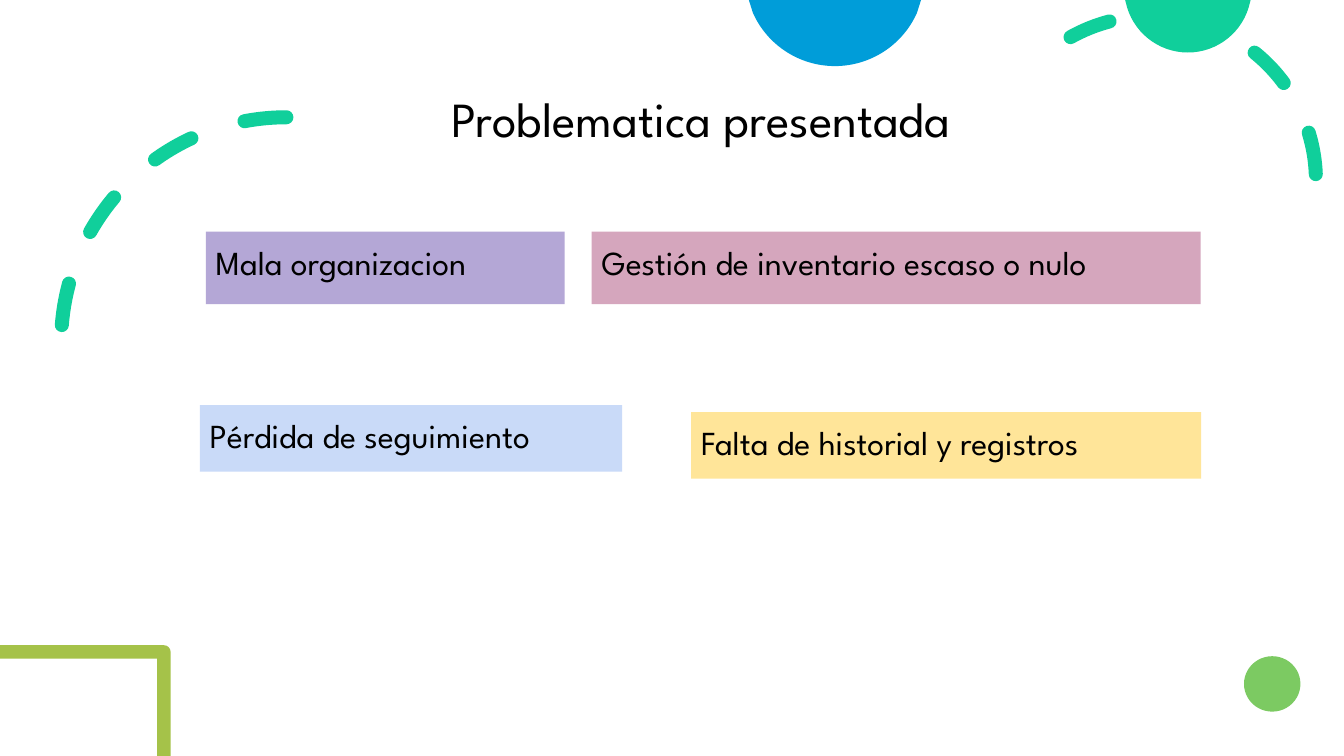
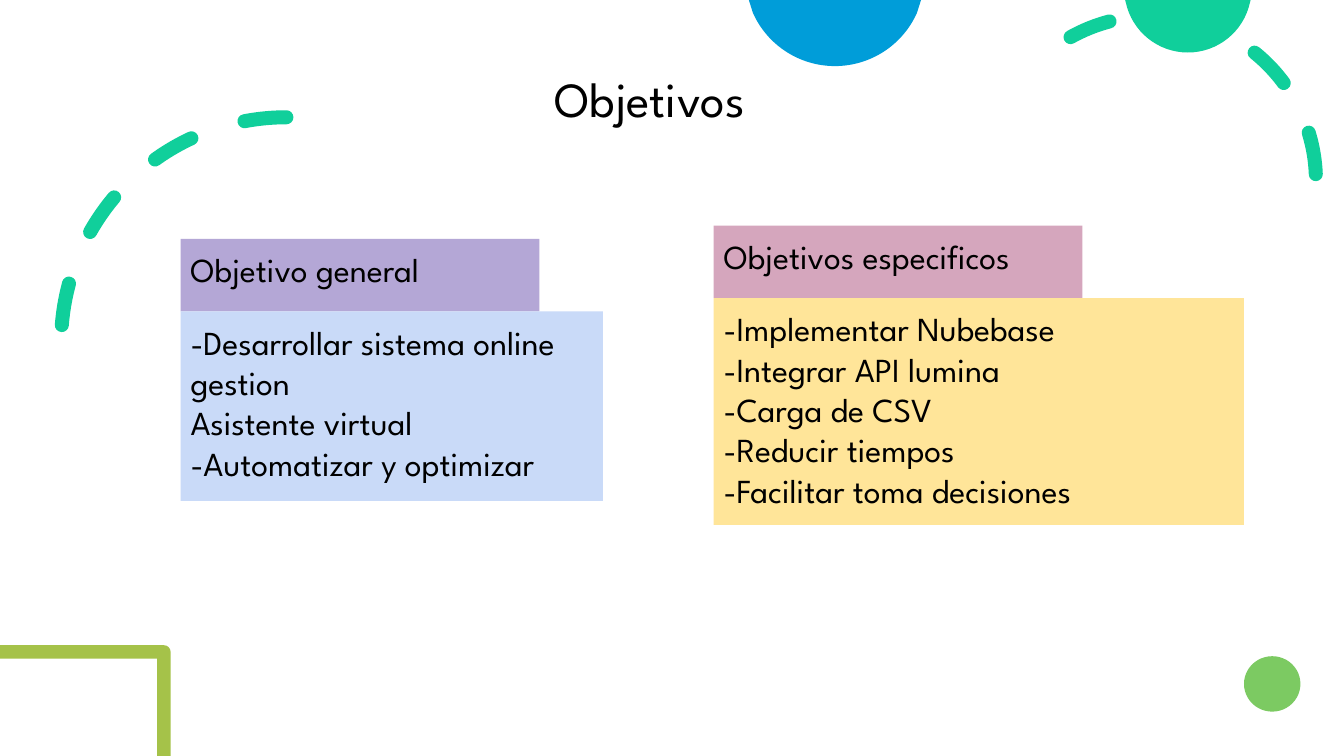
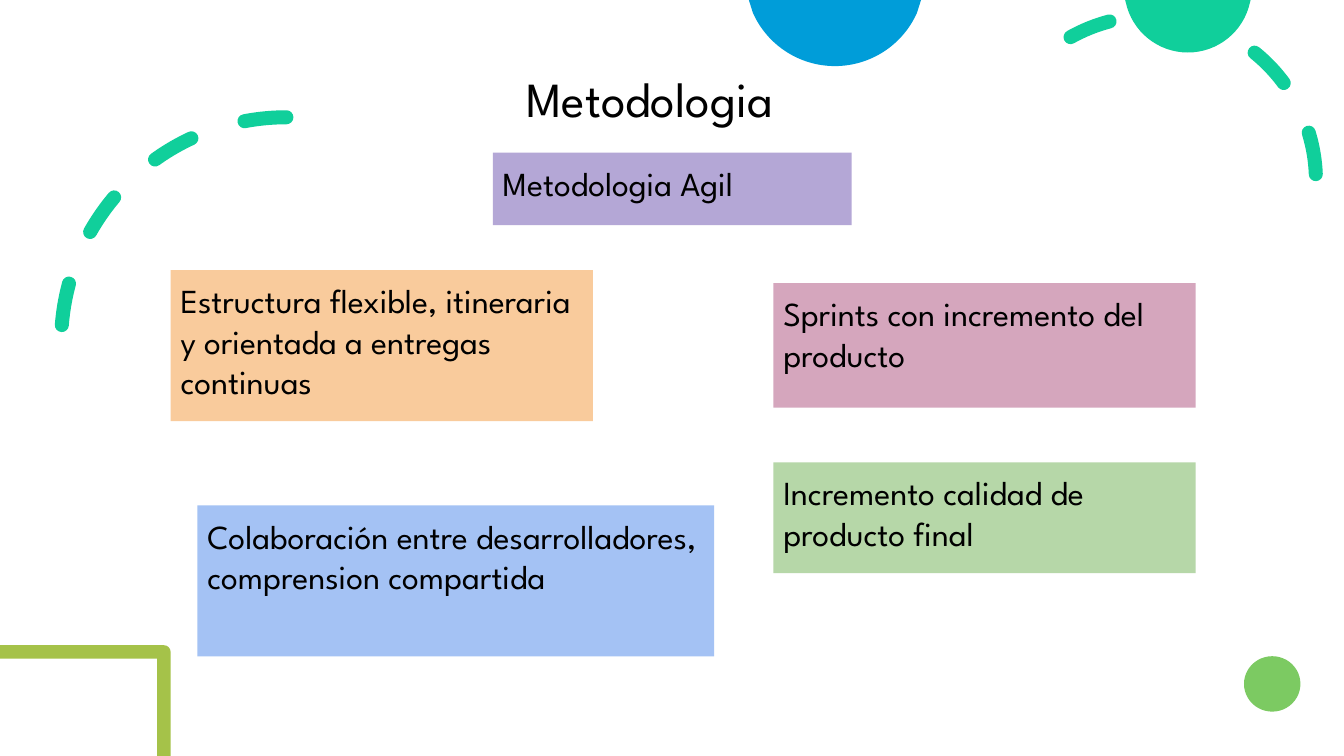
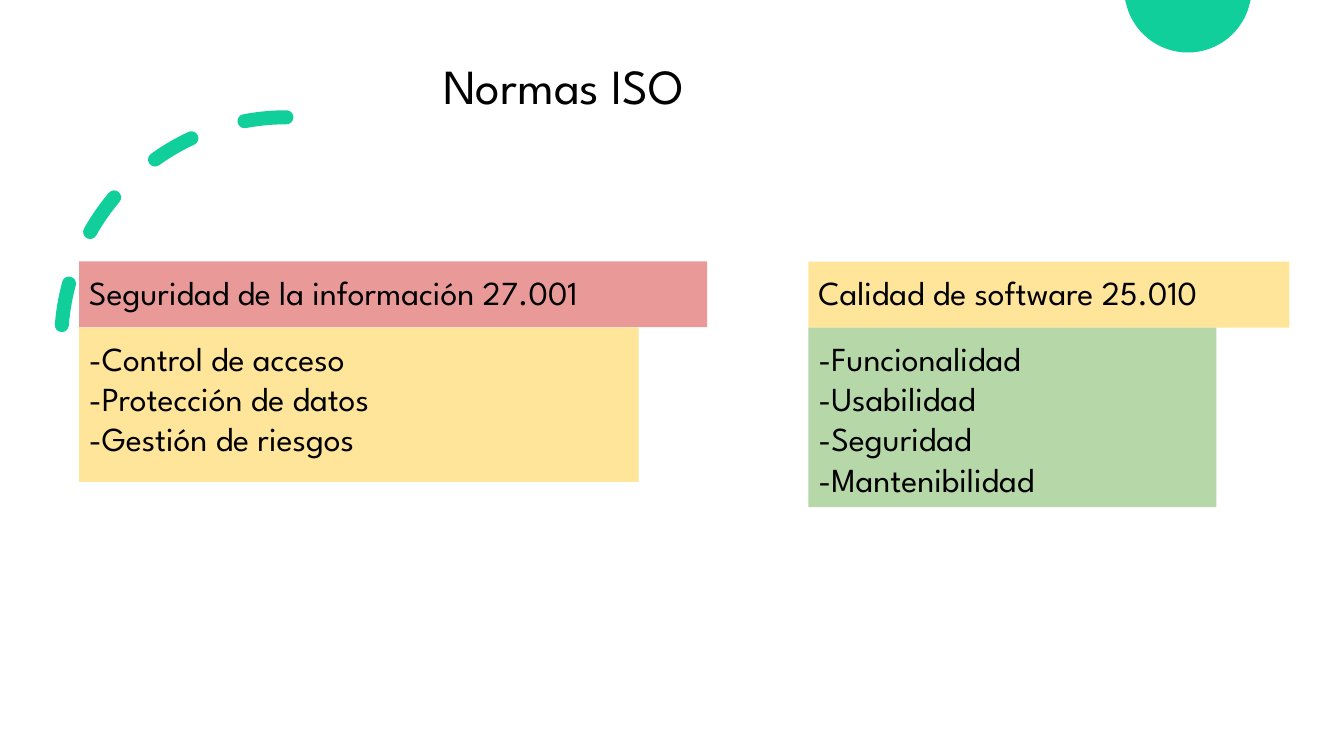
from dataclasses import dataclass
from math import asin, cos, pi, sin, tan
from typing import NamedTuple

from lxml.etree import SubElement
from pptx import Presentation
from pptx.dml.color import RGBColor
from pptx.enum.dml import MSO_LINE
from pptx.enum.shapes import MSO_SHAPE
from pptx.enum.text import MSO_ANCHOR, PP_ALIGN
from pptx.oxml.ns import qn
from pptx.util import Pt

RECT, OVAL, ARC = MSO_SHAPE.RECTANGLE, MSO_SHAPE.OVAL, MSO_SHAPE.ARC
TOP, BOTTOM = MSO_ANCHOR.TOP, MSO_ANCHOR.BOTTOM
LEFT, CENTER = PP_ALIGN.LEFT, PP_ALIGN.CENTER
DASH = MSO_LINE.DASH

FONT = "League Spartan"
HEX = {
    "black": "000000", "teal": "10CF9B", "blue": "009DD9",
    "green": "7CCA62", "olive": "A5C249", "purple": "B4A7D6",
    "pink": "D5A6BD", "yellow": "FFE599", "pale": "C9DAF8",
    "sky": "A4C2F4", "orange": "F9CB9C", "mint": "B6D7A8",
    "red": "EA9999",
}
WIDTH, HEIGHT = 960, 540
TAG, WIDE = 256.3, 301.7     # common box widths
TALL, BAND = 51.8, 47.5      # common box heights


class Dot(NamedTuple):
    x: float
    y: float


class Step(NamedTuple):
    """One stretch of an outline: straight, or bent by two handles."""
    end: Dot
    bend: tuple[Dot, ...] = ()


@dataclass
class Box:
    x: float
    y: float
    w: float
    h: float
    fill: str
    lines: tuple[str, ...]


@dataclass
class Page:
    title: str
    x: float
    y: float
    boxes: list[Box]
    w: float = 455.8
    align: PP_ALIGN = CENTER
    full: bool = True


def stack(x: float, y: float, head: tuple, body: tuple) -> list[Box]:
    """Place a heading box with a body box right below it."""
    return [Box(x, y, *head), Box(x, y + head[1], *body)]


PAGES = [
    Page("Problematica presentada", 273, 57.5, [
        Box(147, 165.5, TAG, TALL, "purple", ("Mala organizacion",)),
        Box(493.7, 294.4, 364.3, BAND, "yellow",
            ("Falta de historial y registros",)),
        Box(142.7, 289.4, WIDE, BAND, "pale", ("Pérdida de seguimiento",)),
        Box(422.7, 165.5, 435, TALL, "pink",
            ("Gestión de inventario escaso o nulo",)),
    ]),
    Page("Objetivos", 236.3, 43.2, [
        *stack(129, 170.6,
               (TAG, TALL, "purple", ("Objetivo general",)),
               (WIDE, 135.4, "pale", ("-Desarrollar sistema online gestion",
                                      "Asistente virtual",
                                      "-Automatizar y optimizar"))),
        *stack(509.8, 161.1,
               (263.4, TALL, "pink", ("Objetivos especificos",)),
               (378.7, 162, "yellow", ("-Implementar Nubebase",
                                       "-Integrar API lumina",
                                       "-Carga de CSV",
                                       "-Reducir tiempos",
                                       "-Facilitar toma decisiones"))),
    ]),
    Page("Metodologia", 236.3, 43.2, [
        Box(352, 109, TAG, TALL, "purple", ("Metodologia Agil",)),
        Box(121.9, 193, WIDE, 107.8, "orange",
            ("Estructura flexible, itineraria y orientada a entregas continuas",)),
        Box(552.4, 202.3, WIDE, 88.8, "pink",
            ("Sprints con incremento del producto",)),
        Box(141, 361, 369.2, 107.8, "sky",
            ("Colaboración entre desarrolladores, comprension compartida",)),
        Box(552.4, 330.2, WIDE, 79.2, "mint",
            ("Incremento calidad de producto final",)),
    ]),
    Page("Normas ISO", 309.4, 33.8, [
        *stack(56.5, 186.8,
               (448.6, 47, "red", ("Seguridad de la información 27.001",)),
               (399.8, 110.4, "yellow", ("-Control de acceso",
                                         "-Protección de datos",
                                         "-Gestión de riesgos"))),
        *stack(577.5, 186.8,
               (343.5, 47.2, "yellow", ("Calidad de software 25.010",)),
               (291.4, 128.2, "mint", ("-Funcionalidad", "-Usabilidad",
                                       "-Seguridad", "-Mantenibilidad"))),
    ], w=448.6, align=LEFT, full=False),
]


def tint(name: str) -> RGBColor:
    return RGBColor.from_string(HEX[name])


def paint(shape, fill: str) -> None:
    shape.shadow.inherit = False
    shape.fill.solid()
    shape.fill.fore_color.rgb = tint(fill)
    shape.line.fill.background()


def write(shape, lines: tuple[str, ...], *, size: float = 24,
          color: str = "black", align: PP_ALIGN = LEFT,
          anchor: MSO_ANCHOR = TOP, space: float = 1.0,
          pad: float = 7.2) -> None:
    frame = shape.text_frame
    frame.word_wrap = True
    frame.vertical_anchor = anchor
    frame.margin_left = frame.margin_right = Pt(7.2)
    frame.margin_top = frame.margin_bottom = Pt(pad)
    for i, line in enumerate(lines):
        para = frame.paragraphs[0] if i == 0 else frame.add_paragraph()
        para.alignment = align
        para.line_spacing = space
        run = para.add_run()
        run.text = line
        run.font.name = FONT
        run.font.size = Pt(size)
        run.font.color.rgb = tint(color)


def add(slide, kind: MSO_SHAPE, x: float, y: float, w: float, h: float):
    return slide.shapes.add_shape(kind, Pt(x), Pt(y), Pt(w), Pt(h))


def trace(slide, start: Dot, steps: list[Step], fill: str) -> None:
    """Draw a closed, filled outline, with its bent steps as Bézier curves."""
    pen = slide.shapes.build_freeform(Pt(start.x), Pt(start.y))
    pen.add_line_segments([(Pt(s.end.x), Pt(s.end.y)) for s in steps])
    shape = pen.convert_to_shape()
    paint(shape, fill)
    track = next(shape.element.iter(qn("a:path")))
    SubElement(track, qn("a:close"))
    for line, step in zip(track.findall(qn("a:lnTo")), steps):
        if step.bend:
            line.tag = qn("a:cubicBezTo")
            line.clear()
            for dot in (*step.bend, step.end):
                SubElement(line, qn("a:pt"),
                           x=str(Pt(dot.x) - shape.left),
                           y=str(Pt(dot.y) - shape.top))


def curve(x: float, y: float, r: float, start: float, end: float) -> Step:
    """Follow a circle from one angle to another, in radians."""
    k = 4 / 3 * tan((end - start) / 4)
    near = Dot(x + r * (cos(start) - k * sin(start)),
               y + r * (sin(start) + k * cos(start)))
    far = Dot(x + r * (cos(end) + k * sin(end)),
              y + r * (sin(end) - k * cos(end)))
    return Step(Dot(x + r * cos(end), y + r * sin(end)), (near, far))


def cap(slide, mid: float, half: float, deep: float, lip: Dot,
        fill: str) -> None:
    """Draw a round cap on the top edge, straight down to the lip."""
    drop = deep - lip.y
    r = (lip.x ** 2 + drop ** 2) / (2 * drop)
    y, edge = deep - r, asin((r - drop) / r)
    trace(slide, Dot(mid - half, 0), [
        Step(Dot(mid + half, 0)),
        Step(Dot(mid + lip.x, lip.y)),
        curve(mid, y, r, edge, pi / 2),
        curve(mid, y, r, pi / 2, pi - edge),
    ], fill)


def frame(slide) -> None:
    """Draw the angled bar in the lower left corner."""
    top, right, thick, r = 460.9, 121.9, 9.6, 4.7
    inner = right - thick
    trace(slide, Dot(right - r, top), [
        Step(Dot(0, top)),
        Step(Dot(0, top + thick)),
        Step(Dot(inner, top + thick)),
        Step(Dot(inner, HEIGHT)),
        Step(Dot(right, HEIGHT)),
        Step(Dot(right, top + r)),
        curve(right - r, top + r, r, 0, -pi / 2),
    ], "olive")


def swing(slide, x: float, y: float, size: float, start: float,
          flip: bool = False) -> None:
    """Draw a dashed arc that ends at the right, or left if flipped."""
    arc = add(slide, ARC, x, y, size, size)
    arc.adjustments[0] = start * 0.6
    arc.adjustments[1] = 0
    arc.shadow.inherit = False
    arc.fill.background()
    arc.line.color.rgb = tint("teal")
    arc.line.width = Pt(10)
    arc.line.dash_style = DASH
    arc.element.spPr.find(qn("a:ln")).set("cap", "rnd")
    if flip:
        arc.element.spPr.xfrm.set("flipH", "1")


def head(slide, page: Page) -> None:
    title = slide.shapes.add_textbox(Pt(page.x), Pt(page.y),
                                     Pt(page.w), Pt(TALL))
    write(title, (page.title,), size=35, align=page.align,
          anchor=BOTTOM, space=0.9, pad=3.6)


def build(slide, page: Page) -> None:
    cap(slide, 848.5, 44.8, 37.5, Dot(44.4, 1.6), "teal")
    swing(slide, 43.7, 83.8, 321.8, 270, flip=True)
    if page.full:
        swing(slide, 704.6, 11.5, 235.4, 240.7)
    head(slide, page)
    if page.full:
        paint(add(slide, OVAL, 888.6, 468.7, 40.3, 39.6), "green")
        frame(slide)
        cap(slide, 596.4, 61.5, 47.2, Dot(58.6, 9.2), "blue")
    for box in page.boxes:
        shape = add(slide, RECT, box.x, box.y, box.w, box.h)
        paint(shape, box.fill)
        write(shape, box.lines)


def main() -> None:
    show = Presentation()
    show.slide_width, show.slide_height = Pt(WIDTH), Pt(HEIGHT)
    blank = show.slide_layouts[6]
    for page in PAGES:
        build(show.slides.add_slide(blank), page)
    show.save("out.pptx")


if __name__ == "__main__":
    main()
